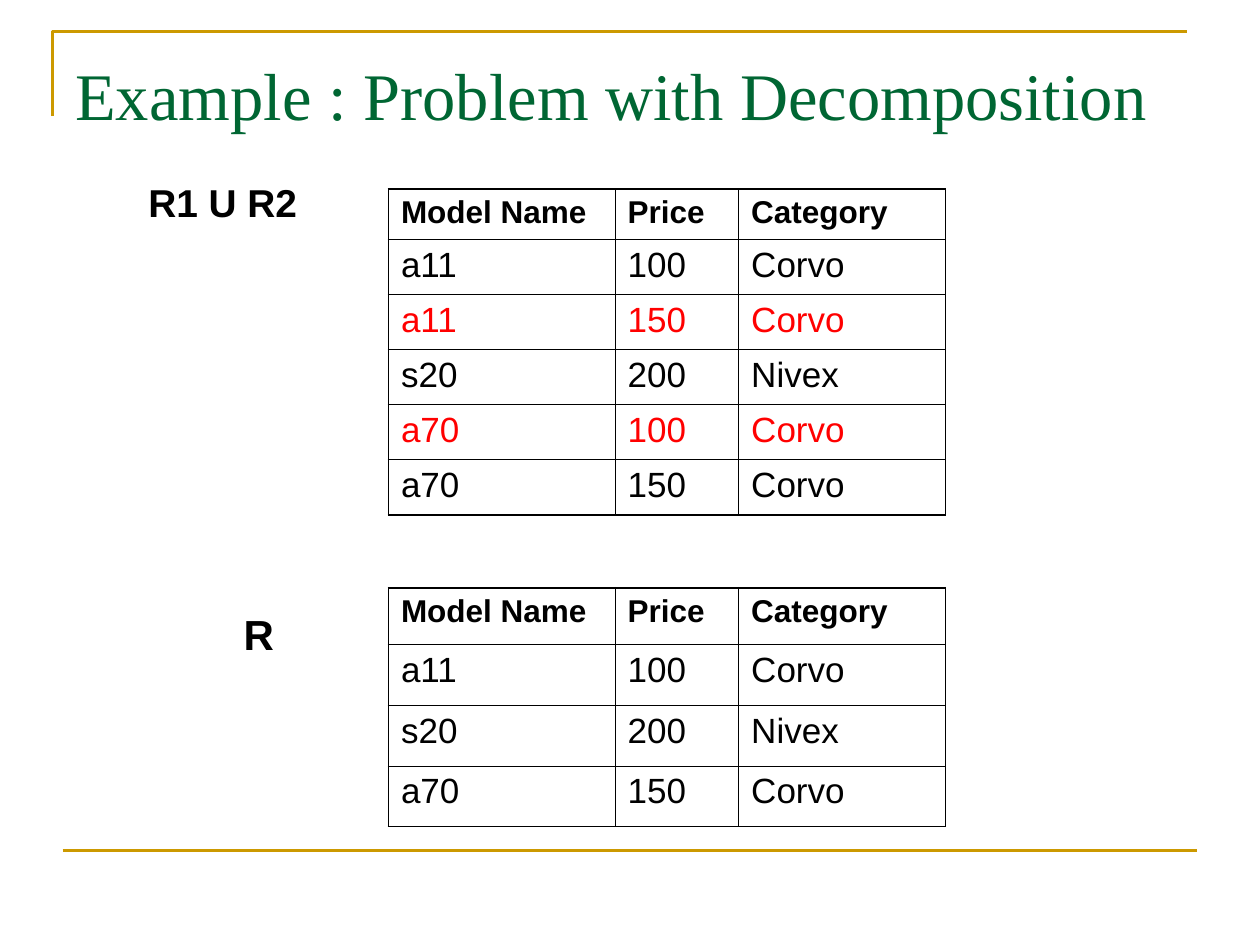
from lxml.etree import SubElement
from pptx import Presentation
from pptx.dml.color import RGBColor
from pptx.enum.shapes import MSO_CONNECTOR
from pptx.oxml import parse_xml
from pptx.oxml.ns import nsdecls, qn
from pptx.util import Cm, Pt

GOLD = RGBColor(0xCC, 0x99, 0x00)
GREEN = RGBColor(0x00, 0x66, 0x33)
BLACK = RGBColor(0x00, 0x00, 0x00)
RED = RGBColor(0xFF, 0x00, 0x00)

OUTER_BORDER, INNER_BORDER = Pt(1.08), Pt(0.45)
COLUMN_WIDTHS = (4.57, 2.49, 4.17)
HEADER = ("Model Name", "Price", "Category")
UNION_ROWS = [
    ("a11", "100", "Corvo"),
    ("a11", "150", "Corvo"),
    ("s20", "200", "Nivex"),
    ("a70", "100", "Corvo"),
    ("a70", "150", "Corvo"),
]
SPURIOUS_ROWS = (2, 4)
RELATION_ROWS = [UNION_ROWS[0], UNION_ROWS[2], UNION_ROWS[4]]


def style_paragraph(paragraph, size, color, bold=False, name="Arial"):
    font = paragraph.font
    font.name, font.size, font.bold = name, Pt(size), bold
    font.color.rgb = color


def add_frame(slide, left, top, width, height):
    """Gold corner at the top left and gold rule at the bottom."""
    builder = slide.shapes.build_freeform(Cm(left), Cm(top + 1.7))
    builder.add_line_segments(
        [(Cm(left), Cm(top)), (Cm(left + width), Cm(top))], close=False)
    corner = builder.convert_to_shape()
    corner.fill.background()
    corner.shadow.inherit = False

    rule_left, rule_top = Cm(left + 0.2), Cm(top + height)
    rule = slide.shapes.add_connector(
        MSO_CONNECTOR.STRAIGHT, rule_left, rule_top,
        rule_left + Cm(width), rule_top)
    SubElement(rule._element.spPr, qn("a:effectLst"))

    for shape in (corner, rule):
        shape.line.color.rgb = GOLD
        shape.line.width = Pt(1.5)


def add_text(slide, text, left, top, width, height, inset_top, **style):
    box = slide.shapes.add_textbox(Cm(left), Cm(top), Cm(width), Cm(height))
    frame = box.text_frame
    frame.word_wrap = True
    frame.margin_top = Cm(inset_top)
    paragraph = frame.paragraphs[0]
    paragraph.text = text
    style_paragraph(paragraph, **style)


def set_borders(cell, widths):
    """Draw the left, right, top and bottom borders, ahead of the fill."""
    properties = cell._tc.get_or_add_tcPr()
    for index, (side, width) in enumerate(zip("LRTB", widths)):
        properties.insert(index, parse_xml(
            f'<a:ln{side} {nsdecls("a")} w="{int(width)}"><a:solidFill>'
            f'<a:srgbClr val="{BLACK}"/></a:solidFill></a:ln{side}>'))


def add_relation(slide, rows, left, top, header_height, row_height, red_rows=()):
    """Relation table with a heavier outer border."""
    records = [HEADER, *rows]
    last_row, last_column = len(rows), len(HEADER) - 1
    shape = slide.shapes.add_table(
        len(records), len(HEADER), Cm(left), Cm(top),
        Cm(sum(COLUMN_WIDTHS)), Cm(header_height + row_height * len(rows)))
    table = shape.table
    table.first_row = table.horz_banding = False
    for column, width in zip(table.columns, COLUMN_WIDTHS):
        column.width = Cm(width)

    for r, record in enumerate(records):
        is_header = r == 0
        table.rows[r].height = Cm(header_height if is_header else row_height)
        for c, value in enumerate(record):
            cell = table.cell(r, c)
            cell.fill.background()
            on_edge = (c == 0, c == last_column, is_header, r == last_row)
            set_borders(cell, [OUTER_BORDER if edge else INNER_BORDER
                               for edge in on_edge])
            paragraph = cell.text_frame.paragraphs[0]
            paragraph.text = value
            style_paragraph(paragraph, 18 if is_header else 20,
                            RED if r in red_rows else BLACK, is_header)


def main():
    presentation = Presentation()
    presentation.slide_width, presentation.slide_height = Cm(25.4), Cm(19.05)
    slide = presentation.slides.add_slide(presentation.slide_layouts[6])

    add_frame(slide, 1.06, 0.64, 22.86, 16.51)
    add_text(slide, "Example : Problem with Decomposition",
             1.27, 0.76, 22.86, 3.18, inset_top=0.33,
             size=38, color=GREEN, name="Times New Roman")

    # Joined relation, with the spurious rows in red
    add_text(slide, "R1 U R2", 2.74, 3.38, 4.24, 2.74, inset_top=0.23,
             size=22.2, color=BLACK, bold=True)
    add_relation(slide, UNION_ROWS, 7.83, 3.81, 1.01, 1.11, SPURIOUS_ROWS)

    # Starting relation
    add_text(slide, "R", 4.66, 12.07, 2.54, 1.27, inset_top=0.2,
             size=24, color=BLACK, bold=True)
    add_relation(slide, RELATION_ROWS, 7.83, 11.85, 1.15, 1.22)

    presentation.save("out.pptx")


if __name__ == "__main__":
    main()
